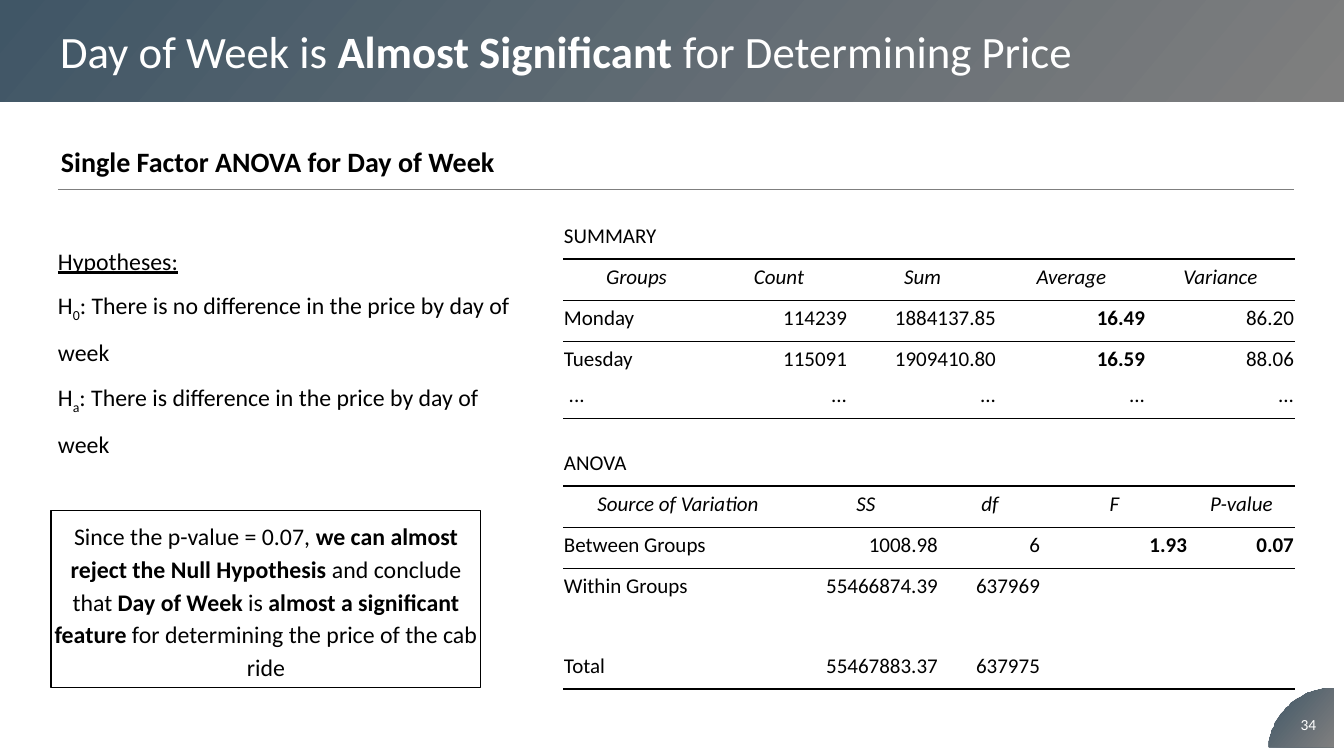
from lxml import etree
from pptx import Presentation, util as u
from pptx.dml.color import RGBColor
from pptx.enum import shapes, text
from pptx.oxml import ns

SCALE = 914400 / 100.8
FONT = "Calibri"
COLORS = {"slate": "405666", "gray": "7F7F7F", "black": "000000", "white": "FFFFFF"}
PLAIN_TABLE_STYLE = "{2D5ABB26-0587-4C30-8999-92F81FD0307C}"
LEFT, CENTER, RIGHT = text.PP_ALIGN.LEFT, text.PP_ALIGN.CENTER, text.PP_ALIGN.RIGHT
MIDDLE = text.MSO_ANCHOR.MIDDLE
BOLD, ITALIC = {"bold": True}, {"italic": True}

SUMMARY = [
    ["SUMMARY", "", "", "", ""],
    ["Groups", "Count", "Sum", "Average", "Variance"],
    ["Monday", "114239", "1884137.85", "16.49", "86.20"],
    ["Tuesday", "115091", "1909410.80", "16.59", "88.06"],
    [" ..."] * 5,
]
ANOVA = [
    ["ANOVA", "", "", "", ""],
    ["Source of Variation", "SS", "df", "F", "P-value"],
    ["Between Groups", "1008.98", "6", "1.93", "0.07"],
    ["Within Groups", "55466874.39", "637969", "", ""],
    [""] * 5,
    ["Total", "55467883.37", "637975", "", ""],
]


def px(length):
    """Turn pixels into EMU."""
    return u.Emu(round(length * SCALE))


def color(name):
    """Return a named colour."""
    return RGBColor.from_string(COLORS[name])


def add_runs(paragraph, runs, size, tint="black", align=LEFT, spacing=1.0):
    """Fill a paragraph with (words, styles) runs."""
    paragraph.alignment = align
    paragraph.line_spacing = spacing
    for words, styles in runs:
        run = paragraph.add_run()
        run.text = words
        run.font.name = FONT
        run.font.size = u.Pt(size)
        run.font.color.rgb = color(tint)
        run.font.bold = styles.get("bold", False)
        run.font.italic = styles.get("italic", False)
        run.font.underline = styles.get("underline", False)
        if "baseline" in styles:
            run._r.get_or_add_rPr().set("baseline", str(styles["baseline"]))


def set_margins(holder, left, top, right, bottom):
    """Set the four text margins of a frame or a cell."""
    holder.margin_left, holder.margin_top = px(left), px(top)
    holder.margin_right, holder.margin_bottom = px(right), px(bottom)


def fill_gradient(shape):
    """Fill a shape with the slate to gray gradient."""
    shape.fill.gradient()
    shape.fill.gradient_angle = 320
    for stop, name in zip(shape.fill.gradient_stops, ("slate", "gray")):
        stop.color.rgb = color(name)


def add_title(slide, runs):
    """Format the title placeholder as the header band."""
    title = slide.shapes.title
    title.left, title.top, title.width, title.height = px(0), px(0), px(1344), px(102)
    fill_gradient(title)
    frame = title.text_frame
    frame.auto_size = text.MSO_AUTO_SIZE.NONE
    frame.vertical_anchor = MIDDLE
    set_margins(frame, 60, 5, 10, 5)
    add_runs(frame.paragraphs[0], runs, 32, "white")


def add_text(slide, box, paragraphs, size, margins=(0, 0, 0, 0), anchor=text.MSO_ANCHOR.TOP, **style):
    """Add a wrapped text box with one or more paragraphs."""
    shape = slide.shapes.add_textbox(*map(px, box))
    frame = shape.text_frame
    frame.word_wrap = True
    frame.vertical_anchor = anchor
    set_margins(frame, *margins)
    for index, runs in enumerate(paragraphs):
        paragraph = frame.add_paragraph() if index else frame.paragraphs[0]
        add_runs(paragraph, runs, size, **style)
    return shape


def add_rule(slide, left, right, y):
    """Add a thin horizontal line."""
    line = slide.shapes.add_connector(shapes.MSO_CONNECTOR.STRAIGHT, px(left), px(y), px(right), px(y))
    line.line.color.rgb = color("gray")
    line.line.width = u.Pt(0.75)
    etree.SubElement(line._element.spPr, ns.qn("a:effectLst"))


def add_corner(slide, left, top, right, bottom):
    """Add the rounded page number corner."""
    curve = [(left, bottom - 6), (left + 6, top + 23), (left + 32, top), (right, top)]
    points = []
    for step in range(25):
        t = step / 24
        weights = ((1 - t) ** 3, 3 * t * (1 - t) ** 2, 3 * t * t * (1 - t), t ** 3)
        points.append(tuple(sum(w * p[axis] for w, p in zip(weights, curve)) for axis in (0, 1)))
    builder = slide.shapes.build_freeform(left, bottom, scale=SCALE)
    builder.add_line_segments(points + [(right, bottom)], close=True)
    corner = builder.convert_to_shape()
    corner.shadow.inherit = False
    corner.line.fill.background()
    fill_gradient(corner)


def add_bottom_border(cell, points):
    """Draw a black line below a cell."""
    border = etree.Element(ns.qn("a:lnB"), w=str(u.Pt(points)))
    fill = etree.SubElement(border, ns.qn("a:solidFill"))
    etree.SubElement(fill, ns.qn("a:srgbClr"), val=COLORS["black"])
    cell._tc.get_or_add_tcPr().insert(0, border)


def add_table(slide, left, top, widths, heights, rows, bold_cells):
    """Add a ruled statistics table with a caption row and a header row."""
    frame = slide.shapes.add_table(len(rows), len(widths), px(left), px(top), px(sum(widths)), px(sum(heights)))
    table = frame.table
    table.first_row = table.horz_banding = False
    table._tbl.tblPr.find(ns.qn("a:tableStyleId")).text = PLAIN_TABLE_STYLE
    for column, width in zip(table.columns, widths):
        column.width = px(width)
    for row, height in zip(table.rows, heights):
        row.height = px(height)
    borders = {0: 1, 1: 0.75, 2: 0.75, len(rows) - 1: 1}
    for r, values in enumerate(rows):
        for c, value in enumerate(values):
            cell = table.cell(r, c)
            cell.fill.background()
            cell.vertical_anchor = text.MSO_ANCHOR.BOTTOM
            set_margins(cell, 1, 1, 1, 10 if value else 0)
            if r in borders:
                add_bottom_border(cell, borders[r])
            if value:
                header = r == 1
                styles = ITALIC if header else BOLD if (r, c) in bold_cells else {}
                align = CENTER if header else RIGHT if c else LEFT
                spacing = 1.15 if (header or c) and value != " ..." else 1.0
                add_runs(cell.text_frame.paragraphs[0], [(value, styles)], 15, align=align, spacing=spacing)


def hypothesis(mark, statement):
    """Return the runs of a hypothesis with its subscript."""
    return [("H", {}), (mark, {"baseline": -25000}), (": " + statement, {})]


def main():
    """Build the slide and save it."""
    presentation = Presentation()
    presentation.slide_width, presentation.slide_height = px(1344), px(756)
    slide = presentation.slides.add_slide(presentation.slide_layouts[5])
    add_title(slide, [("Day of Week is ", {}), ("Almost Significant", BOLD), (" for Determining Price", {})])
    add_corner(slide, 1269, 688, 1334, 747)
    add_text(slide, (1287, 704, 43, 40), [[("34", {})]], 11, (10, 5, 10, 5), MIDDLE, tint="white", align=CENTER)
    add_text(slide, (51, 140, 739, 40), [[("Single Factor ANOVA for Day of Week", BOLD)]], 20, (10, 5, 10, 5))
    add_rule(slide, 58, 1294, 190)
    add_table(slide, 563, 220, [147, 138, 149, 149, 149], [39, 41, 41, 41, 36], SUMMARY, {(2, 3), (3, 3)})
    add_table(slide, 563, 447, [230, 146, 102, 147, 107], [39, 41, 41, 41, 39, 41], ANOVA, {(2, 3), (2, 4)})
    conclusion = [
        ("Since the p-value = 0.07, ", {}),
        ("we can almost reject the Null Hypothesis", BOLD),
        (" and conclude that ", {}),
        ("Day of Week", BOLD),
        (" is ", {}),
        ("almost a significant feature", BOLD),
        (" for determining the price of the cab ride", {}),
    ]
    callout = add_text(slide, (51, 511, 430, 177), [conclusion], 17, anchor=MIDDLE, align=CENTER, spacing=1.15)
    callout.line.color.rgb = color("black")
    callout.line.width = u.Pt(0.75)
    hypotheses = [
        [("Hypotheses:", {"underline": True})],
        hypothesis("0", "There is no difference in the price by day of week"),
        hypothesis("a", "There is difference in the price by day of week"),
    ]
    add_text(slide, (58, 232, 474, 200), hypotheses, 17, spacing=1.5)
    presentation.save("out.pptx")


main()
